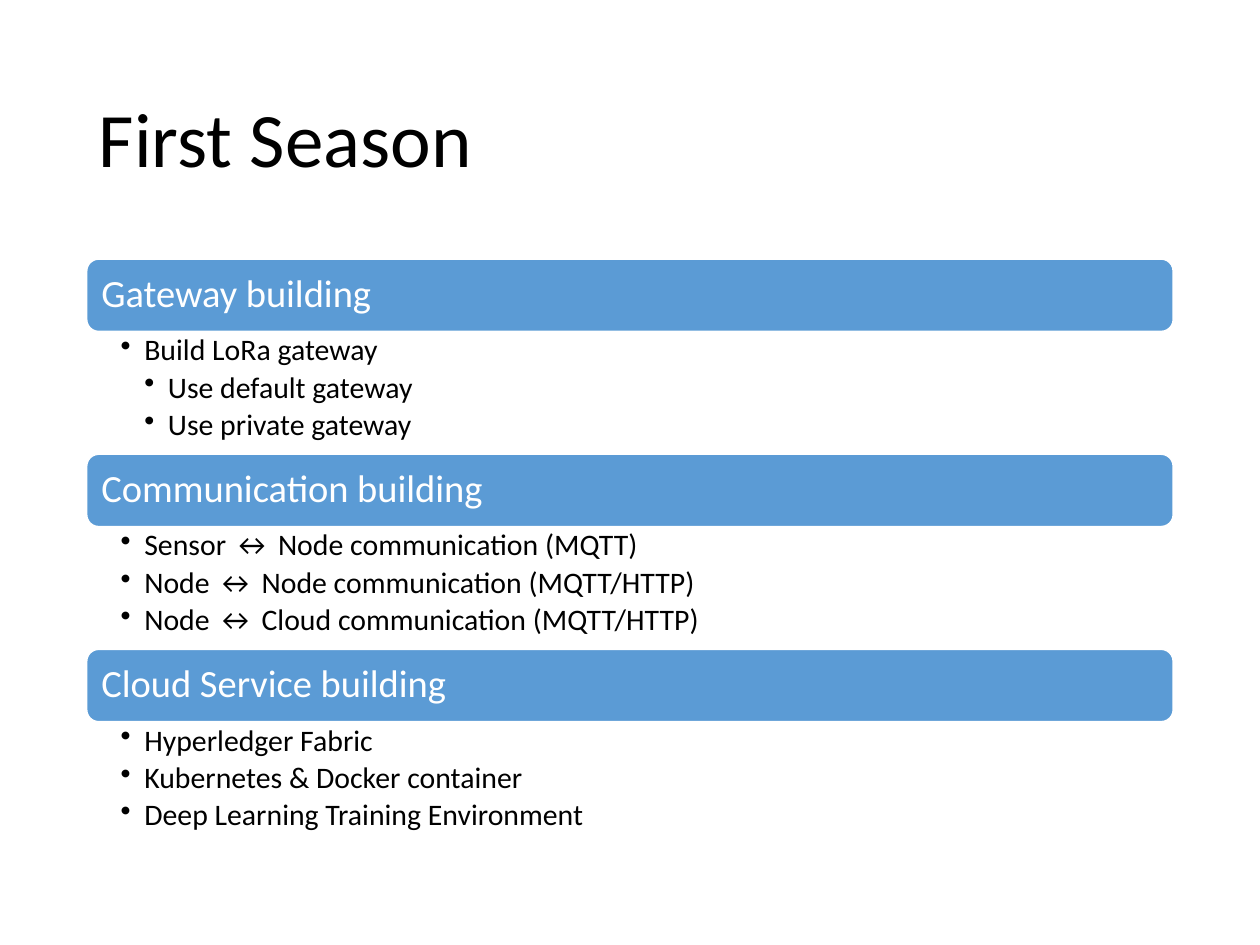
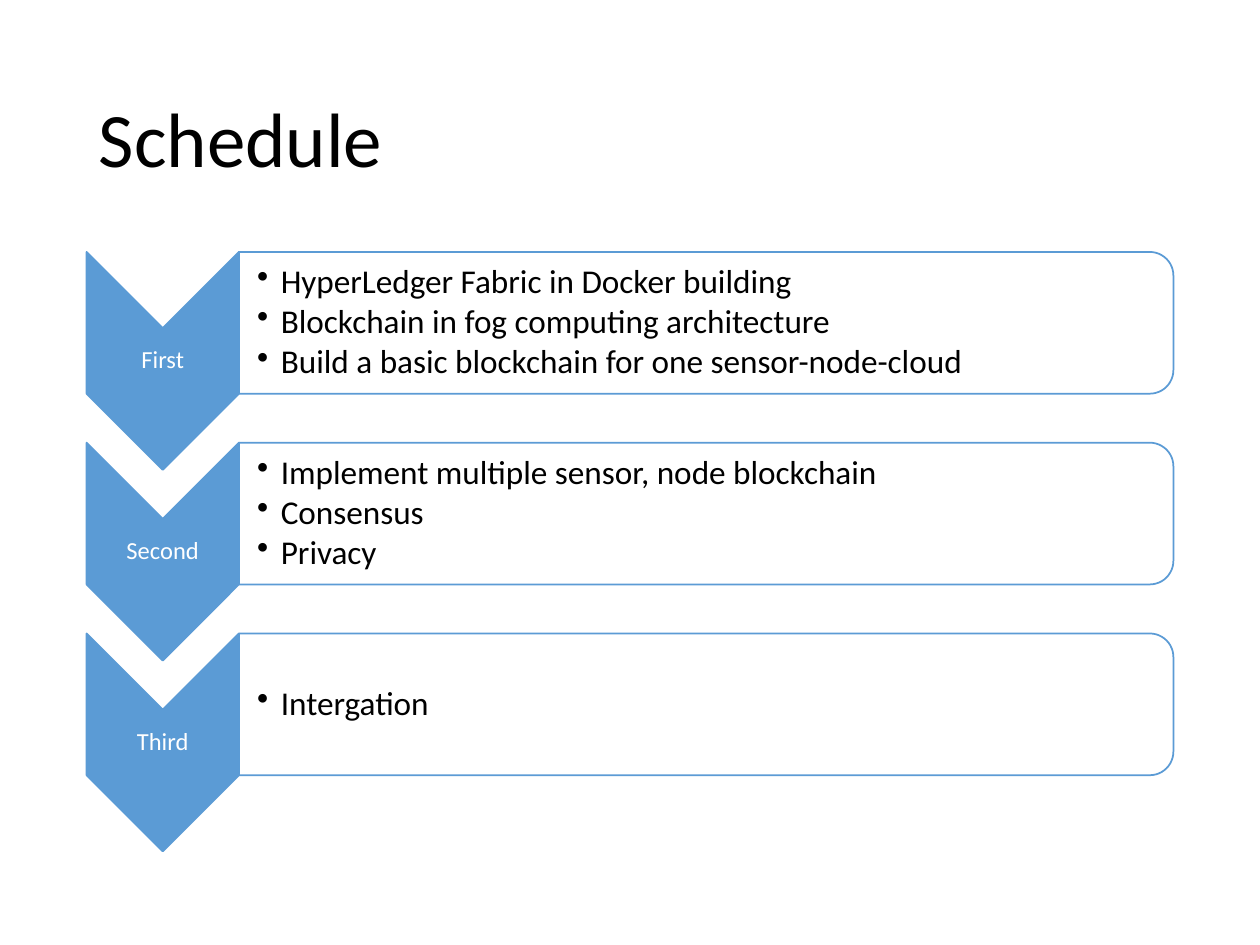
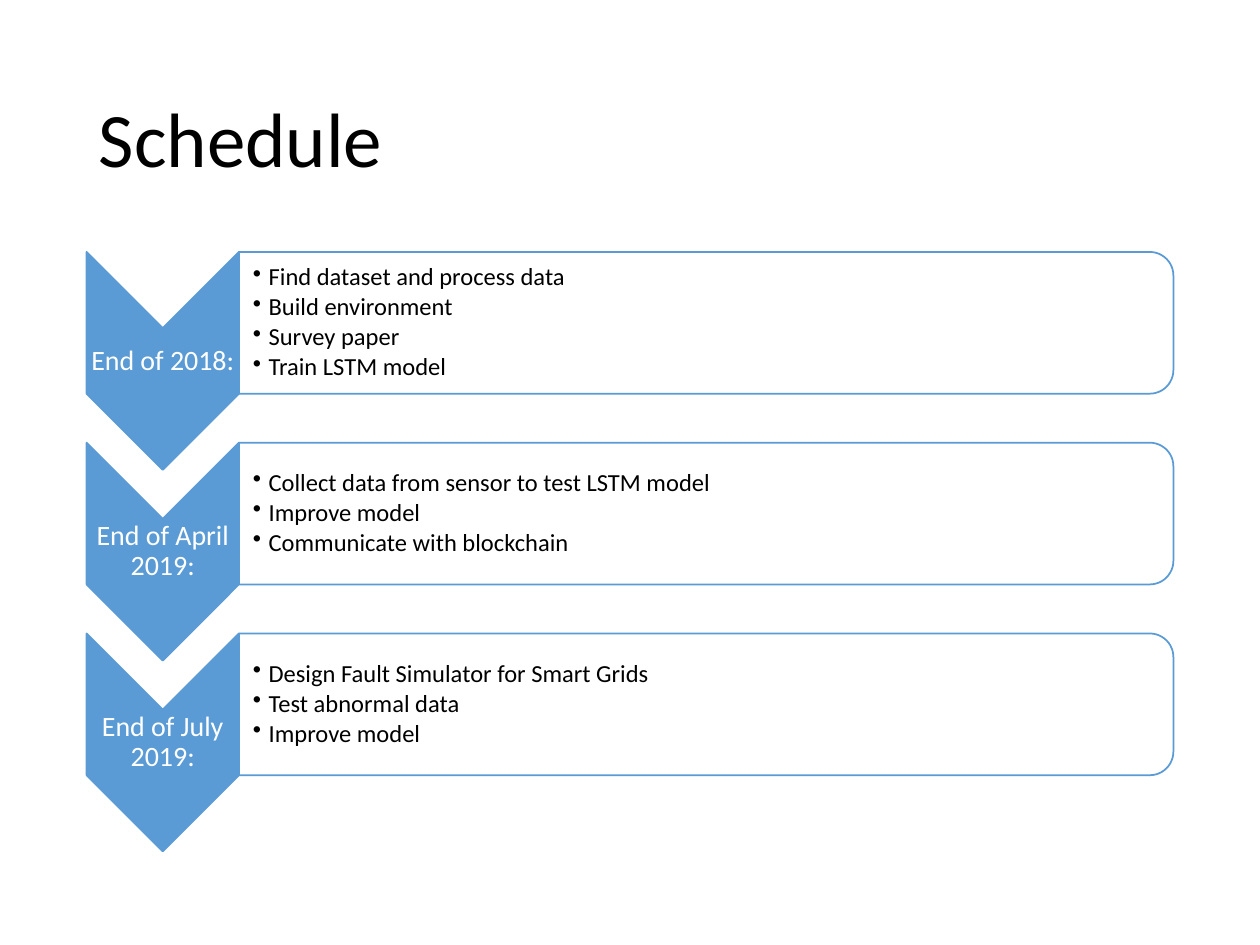
from lxml.etree import SubElement
from pptx import Presentation
from pptx.dml.color import RGBColor
from pptx.enum.shapes import MSO_SHAPE
from pptx.enum.text import MSO_ANCHOR, PP_ALIGN
from pptx.oxml.ns import qn
from pptx.util import Pt

FONT = "Calibri"
BLUE, WHITE, BLACK = "5B9BD5", "FFFFFF", "000000"
LEFT, WIDTH = 49.5, 621


def color(value):
    """Turn a hex string into a colour."""
    return RGBColor.from_string(value)


class Deck:
    """Hold the presentation style and the current slide."""

    def __init__(self):
        self.presentation = Presentation()
        self.presentation.slide_width = Pt(720)
        self.presentation.slide_height = Pt(540)
        self.slide = None

    def add_slide(self, title):
        """Start a blank slide with a title."""
        self.slide = self.presentation.slides.add_slide(self.presentation.slide_layouts[6])
        self.text((LEFT, 29, WIDTH, 104.5), [title], 44, insets=(7.2, 3.6, 7.2, 3.6))

    def fill_text(self, shape, lines, size, ink, insets, anchor=MSO_ANCHOR.MIDDLE,
                  align=PP_ALIGN.LEFT, gap=0, indent=0):
        """Fill a shape with paragraphs, bulleted when an indent is given."""
        frame = shape.text_frame
        frame.word_wrap = True
        frame.vertical_anchor = anchor
        frame.margin_left, frame.margin_top, frame.margin_right, frame.margin_bottom = map(Pt, insets)
        for index, line in enumerate(lines):
            level, words = line if isinstance(line, tuple) else (1, line)
            paragraph = frame.add_paragraph() if index else frame.paragraphs[0]
            paragraph.text = words
            if indent:
                properties = paragraph._p.get_or_add_pPr()
                properties.set("marL", str(Pt(indent * level)))
                properties.set("indent", str(-Pt(indent)))
                SubElement(properties, qn("a:buChar"), char="•")
            paragraph.alignment = align
            paragraph.line_spacing = 0.9
            if index:
                paragraph.space_before = Pt(gap)
            paragraph.font.name = FONT
            paragraph.font.size = Pt(size)
            paragraph.font.color.rgb = color(ink)

    def text(self, box, lines, size, ink=BLACK, insets=(1, 1, 1, 1), **layout):
        """Add a text box."""
        text_box = self.slide.shapes.add_textbox(*map(Pt, box))
        self.fill_text(text_box, lines, size, ink, insets, **layout)

    def shape(self, kind, box, fill, line, opacity=100):
        """Add a filled and outlined preset shape."""
        shape = self.slide.shapes.add_shape(kind, *map(Pt, box))
        shape.shadow.inherit = False
        shape.fill.solid()
        shape.fill.fore_color.rgb = color(fill)
        if opacity < 100:
            fill_color = shape._element.spPr.find(qn("a:solidFill"))[0]
            SubElement(fill_color, qn("a:alpha"), val=str(opacity * 1000))
        shape.line.color.rgb = color(line)
        shape.line.width = Pt(1)
        return shape

    def turned_shape(self, kind, box, *style):
        """Add a shape turned a quarter clockwise that covers the given box."""
        left, top, width, height = box
        shift = (width - height) / 2
        shape = self.shape(kind, (left + shift, top - shift, height, width), *style)
        shape.rotation = 90

    def section(self, top, heading, items):
        """Add a heading bar with a bullet list under it."""
        bar_height = 41.5
        bar = self.shape(MSO_SHAPE.ROUNDED_RECTANGLE, (LEFT, top, WIDTH, bar_height), BLUE, WHITE)
        self.fill_text(bar, [heading], 22, WHITE, (6.5, 6.5, 6.5, 6.5))
        self.text((LEFT, top + bar_height, WIDTH, 70), items, 17, insets=(19.5, 2, 12, 2),
                  anchor=MSO_ANCHOR.TOP, gap=3, indent=13.5)

    def step(self, top, label, items, label_size, item_size, inset, indent, gap):
        """Add a downward chevron with its label and a card of bullets."""
        width, height, card_height = 87, 124.5, 81
        card_left, card_width = LEFT + width, WIDTH - width
        self.turned_shape(MSO_SHAPE.CHEVRON, (LEFT, top, width, height), BLUE, BLUE)
        self.text((LEFT, top + width / 2, width, height - width), [label], label_size, WHITE,
                  align=PP_ALIGN.CENTER)
        self.turned_shape(MSO_SHAPE.ROUND_2_SAME_RECTANGLE,
                          (card_left, top, card_width, card_height), WHITE, BLUE, 90)
        self.text((card_left, top + 4, card_width - 4, card_height - 8), items, item_size,
                  insets=(inset, 1, 1, 1), indent=indent, gap=gap)

    def schedule(self, steps, **style):
        """Add a schedule slide with evenly spaced steps."""
        self.add_slide("Schedule")
        for index, (label, items) in enumerate(steps):
            self.step(144 + 109 * index, label, items, **style)


SECTIONS = [
    ("Gateway building", ["Build LoRa gateway", (2, "Use default gateway"), (2, "Use private gateway")]),
    ("Communication building", ["Sensor ↔ Node communication (MQTT)",
                                "Node ↔ Node communication (MQTT/HTTP)",
                                "Node ↔ Cloud communication (MQTT/HTTP)"]),
    ("Cloud Service building", ["Hyperledger Fabric", "Kubernetes & Docker container",
                                "Deep Learning Training Environment"]),
]
SEASONS = [
    ("First", ["HyperLedger Fabric in Docker building", "Blockchain in fog computing architecture",
               "Build a basic blockchain for one sensor-node-cloud"]),
    ("Second", ["Implement multiple sensor, node blockchain", "Consensus", "Privacy"]),
    ("Third", ["Intergation"]),
]
DEADLINES = [
    ("End of 2018:", ["Find dataset and process data", "Build environment", "Survey paper",
                      "Train LSTM model"]),
    ("End of April 2019:", ["Collect data from sensor to test LSTM model", "Improve model",
                            "Communicate with blockchain"]),
    ("End of July 2019:", ["Design Fault Simulator for Smart Grids", "Test abnormal data",
                           "Improve model"]),
]


def main():
    """Build the three slides and save them."""
    deck = Deck()
    deck.add_slide("First Season")
    for index, (heading, items) in enumerate(SECTIONS):
        deck.section(148 + 111.5 * index, heading, items)
    deck.schedule(SEASONS, label_size=14, item_size=19, inset=10.5, indent=13.5, gap=2.5)
    deck.schedule(DEADLINES, label_size=16, item_size=14, inset=8, indent=9, gap=2)
    deck.presentation.save("out.pptx")


if __name__ == "__main__":
    main()
